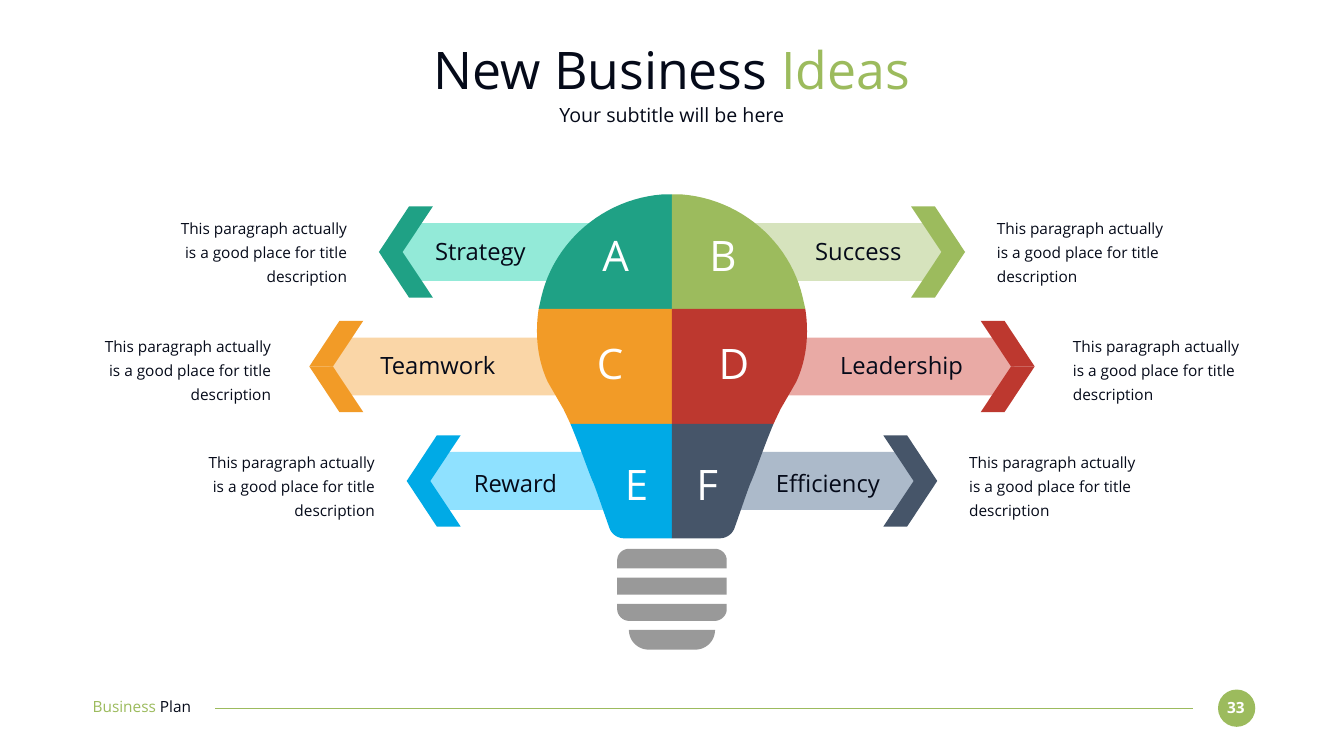
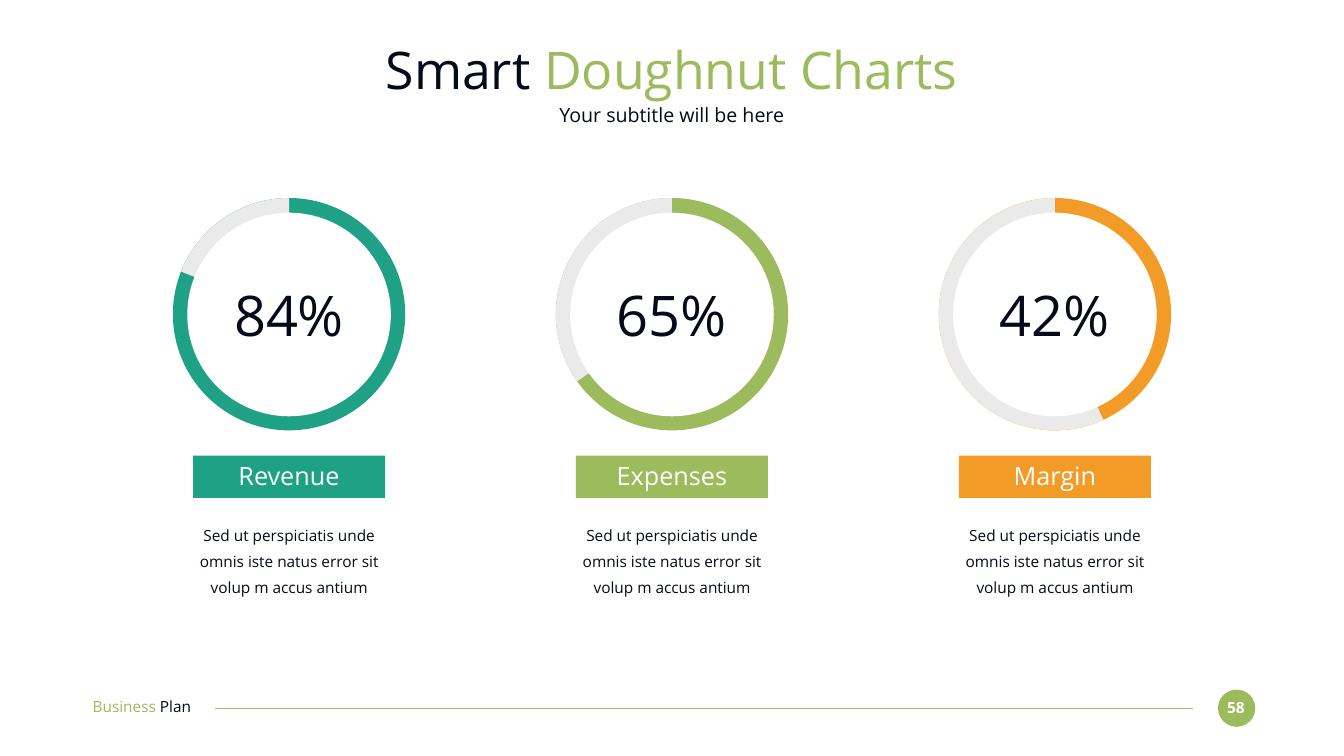
from pptx import Presentation
from pptx.dml.color import RGBColor
from pptx.enum.shapes import MSO_CONNECTOR, MSO_SHAPE
from pptx.enum.text import MSO_ANCHOR, MSO_AUTO_SIZE, PP_ALIGN
from pptx.oxml.ns import qn
from pptx.util import Cm, Pt
from lxml import etree

LEFT, CENTER, RIGHT = PP_ALIGN.LEFT, PP_ALIGN.CENTER, PP_ALIGN.RIGHT
MIDDLE = MSO_ANCHOR.MIDDLE
SHRINK = MSO_AUTO_SIZE.TEXT_TO_FIT_SHAPE
OVAL, PIE, RECT = MSO_SHAPE.OVAL, MSO_SHAPE.PIE, MSO_SHAPE.RECTANGLE
STRAIGHT = MSO_CONNECTOR.STRAIGHT

FONT = "Open Sans"
C = {
    "ink": "050A19", "white": "FFFFFF", "track": "EAEAEA", "base": "999999",
    "teal": "1FA185", "green": "9CBB5D", "orange": "F29B27",
    "red": "BD382F", "blue": "00AAE6", "slate": "465569",
    "teal_pale": "93EAD8", "green_pale": "D6E3BD", "orange_pale": "FAD6A7",
    "red_pale": "E9AAA5", "blue_pale": "8FE1FF", "slate_pale": "ACBACA",
}
WIDTH, HEIGHT = 67.74, 38.1
MID_X = WIDTH / 2


def paint(sp, color):
    sp.shadow.inherit = False
    sp.fill.solid()
    sp.fill.fore_color.rgb = RGBColor.from_string(C[color])
    sp.line.fill.background()


def add_text(s, x, y, w, h, runs, size, align=CENTER, bold=False, spacing=None):
    """Add a text box; runs is a list of (text, colour name)."""
    tf = s.shapes.add_textbox(Cm(x), Cm(y), Cm(w), Cm(h)).text_frame
    tf.margin_left = tf.margin_right = tf.margin_top = tf.margin_bottom = 0
    tf.word_wrap = True
    tf.vertical_anchor = MIDDLE
    p = tf.paragraphs[0]
    p.alignment = align
    p.font.name, p.font.size, p.font.bold = FONT, Pt(size), bold
    if spacing:
        p.line_spacing = spacing
        tf.auto_size = SHRINK
    for text, color in runs:
        r = p.add_run()
        r.text = text
        r.font.color.rgb = RGBColor.from_string(C[color])


prs = Presentation()
prs.slide_width, prs.slide_height = Cm(WIDTH), Cm(HEIGHT)

# Footer, title and subtitle of every slide
slides = []
for number, title, accent in [("33", "New Business ", "Ideas"),
                              ("58", "Smart ", "Doughnut Charts")]:
    s = prs.slides.add_slide(prs.slide_layouts[6])
    slides.append(s)
    paint(s.shapes.add_shape(OVAL, Cm(61.39), Cm(34.75), Cm(1.88), Cm(1.88)), "green")
    add_text(s, 61.54, 35.18, 1.5, 0.94, [(number, "white")], 22, bold=True)
    line = s.shapes.add_connector(STRAIGHT, Cm(60.12), Cm(35.69), Cm(10.85), Cm(35.69))
    line.line.color.rgb = RGBColor.from_string(C["green"])
    line.line.width = Pt(1.5)
    etree.SubElement(line._element.spPr, qn("a:effectLst"))
    add_text(s, 4.67, 35.15, 6.58, 0.94,
             [("Business ", "green"), ("Plan", "ink")], 22, LEFT)
    add_text(s, 4.65, 1.85, 58.42, 3.23, [(title, "ink"), (accent, "green")], 74)
    add_text(s, 4.65, 5.16, 58.42, 1.24, [("Your subtitle will be here", "ink")], 28)
ideas, doughnuts = slides

# Slide 1: rows of arrows, x measured outwards from the bulb's axis
# (banner start, arrow tip, description x, description y, letter y, label y, label width)
rows = [
    (1.61, 14.77, 16.38, 10.74, 11.56, 11.94, 6.81),
    (1.61, 18.28, 20.21, 16.71, 16.99, 17.65, 9.4),
    (0.21, 13.37, 14.98, 22.56, 23.09, 23.62, 6.81),
]
# (row, side, colour, letter, letter centre, label, label centre)
items = [
    (0, -1, "teal", "A", 2.84, "Strategy", 9.66),
    (0, 1, "green", "B", 2.57, "Success", 9.39),
    (1, -1, "orange", "C", 3.12, "Teamwork", 11.8),
    (1, 1, "red", "D", 3.12, "Leadership", 11.57),
    (2, -1, "blue", "E", 1.78, "Reward", 7.89),
    (2, 1, "slate", "F", 1.78, "Efficiency", 7.86),
]
# Half outlines: a pair is a corner, six numbers are a Bezier curve
bulb = [
    [(0, 9.8), (0.5, 9.8), (3.42, 10.03, 5.93, 12.14, 6.59, 14.99),
     (6.72, 15.57), (0, 15.57)],
    [(0, 15.57), (6.72, 15.57), (6.92, 16.89, 6.77, 18.16, 6.26, 19.25),
     (5.47, 20.62), (5.37, 20.83, 5.25, 21.08, 5.12, 21.36), (0, 21.36)],
    [(0, 21.36), (5.12, 21.36), (4.66, 22.43, 4.18, 23.88, 3.95, 24.36),
     (3.77, 24.82, 3.42, 25.86, 3.16, 26.59),
     (3.06, 26.9, 2.76, 27.13, 2.4, 27.13), (0, 27.13)],
]
socket = [
    [(2.17, 27.66), (2.48, 27.66, 2.76, 27.91, 2.76, 28.24), (2.76, 28.65)],
    [(2.76, 29.11), (2.76, 29.97)],
    [(2.76, 30.43), (2.76, 30.71), (2.76, 31.01, 2.48, 31.29, 2.17, 31.29)],
    [(2.17, 31.75), (2.17, 32.31, 1.71, 32.74, 1.18, 32.74)],
]

# Collect outlines from back to front: banners, arrowheads, bulb, socket
outlines = []
for row, side, color, *_ in items:
    start, tip = rows[row][:2]
    y = 12.7 + 5.77 * row
    end = tip - 1.02
    outlines.append((color + "_pale", side, [[
        (start, y - 1.46), (end - 0.89, y - 1.46), (end, y),
        (end - 0.89, y + 1.46), (start, y + 1.46)]]))
    for edge in (y - 2.3, y + 2.3):
        outlines.append((color, side, [[
            (tip, y), (tip - 1.19, y), (tip - 2.72, edge), (tip - 1.52, edge)]]))
for row, side, color, *_ in items:
    outlines.append((color, side, [bulb[row]]))
outlines.append(("base", 0, socket))

# Draw them; side 0 means the half is completed by its mirror image
for color, side, contours in outlines:
    builder = None
    for contour in contours:
        pts = []
        for seg in contour:
            if len(seg) == 2:
                pts.append(seg)
                continue
            x0, y0 = pts[-1]
            x1, y1, x2, y2, x3, y3 = seg
            for i in range(1, 25):
                t = i / 24
                u = 1 - t
                a, b, c, d = u**3, 3 * u * u * t, 3 * u * t * t, t**3
                pts.append((a * x0 + b * x1 + c * x2 + d * x3,
                            a * y0 + b * y1 + c * y2 + d * y3))
        if side == 0:
            pts += [(-x, y) for x, y in reversed(pts)]
        pts = [(Cm(MID_X + (side or 1) * x), Cm(y)) for x, y in pts]
        if builder is None:
            builder = ideas.shapes.build_freeform(*pts[0])
        else:
            builder.move_to(*pts[0])
        builder.add_line_segments(pts[1:], close=True)
    paint(builder.convert_to_shape(), color)

# Letters, labels and descriptions
for row, side, color, letter, letter_x, label, label_x in items:
    _, _, desc_x, desc_y, letter_y, label_y, label_w = rows[row]
    add_text(ideas, MID_X + side * letter_x - 1.36, letter_y, 2.72, 2.57,
             [(letter, "white")], 60)
    add_text(ideas, MID_X + side * label_x - label_w / 2, label_y, label_w, 1.45,
             [(label, "ink")], 34)
    left = MID_X + desc_x if side > 0 else MID_X - desc_x - 8.99
    add_text(ideas, left, desc_y, 8.99, 3.66,
             [("This paragraph actually is a good place for title description", "ink")],
             22, LEFT if side > 0 else RIGHT, spacing=1.3)

# Slide 2: three rings; the grey pie runs from the given angle to the top
rings = [
    ("84%", "Revenue", "teal", 201.53),
    ("65%", "Expenses", "green", 144.71),
    ("42%", "Margin", "orange", 65.34),
]
for i, (percent, label, color, angle) in enumerate(rings):
    x = MID_X + (i - 1) * 19.3
    for kind, y, w, h, fill in [(OVAL, 9.98, 11.71, 11.71, color),
                                (PIE, 9.98, 11.71, 11.71, "track"),
                                (OVAL, 10.72, 10.26, 10.26, "white"),
                                (RECT, 22.96, 9.68, 2.13, color)]:
        sp = doughnuts.shapes.add_shape(kind, Cm(x - w / 2), Cm(y), Cm(w), Cm(h))
        paint(sp, fill)
        if kind == PIE:
            # Adjustments count 0.6 to the degree
            sp.adjustments[0] = angle * 0.6
            sp.adjustments[1] = 270 * 0.6
    add_text(doughnuts, x - 3.02, 14.12, 6.05, 3.43, [(percent, "ink")], 80)
    add_text(doughnuts, x - 3.94, 23.19, 7.87, 1.55, [(label, "white")], 36)
    add_text(doughnuts, x - 5.47, 26.14, 10.95, 3.96,
             [("Sed ut perspiciatis unde omnis iste natus error sit "
               "volup m accus antium", "ink")], 22, spacing=1.4)

prs.save("out.pptx")
